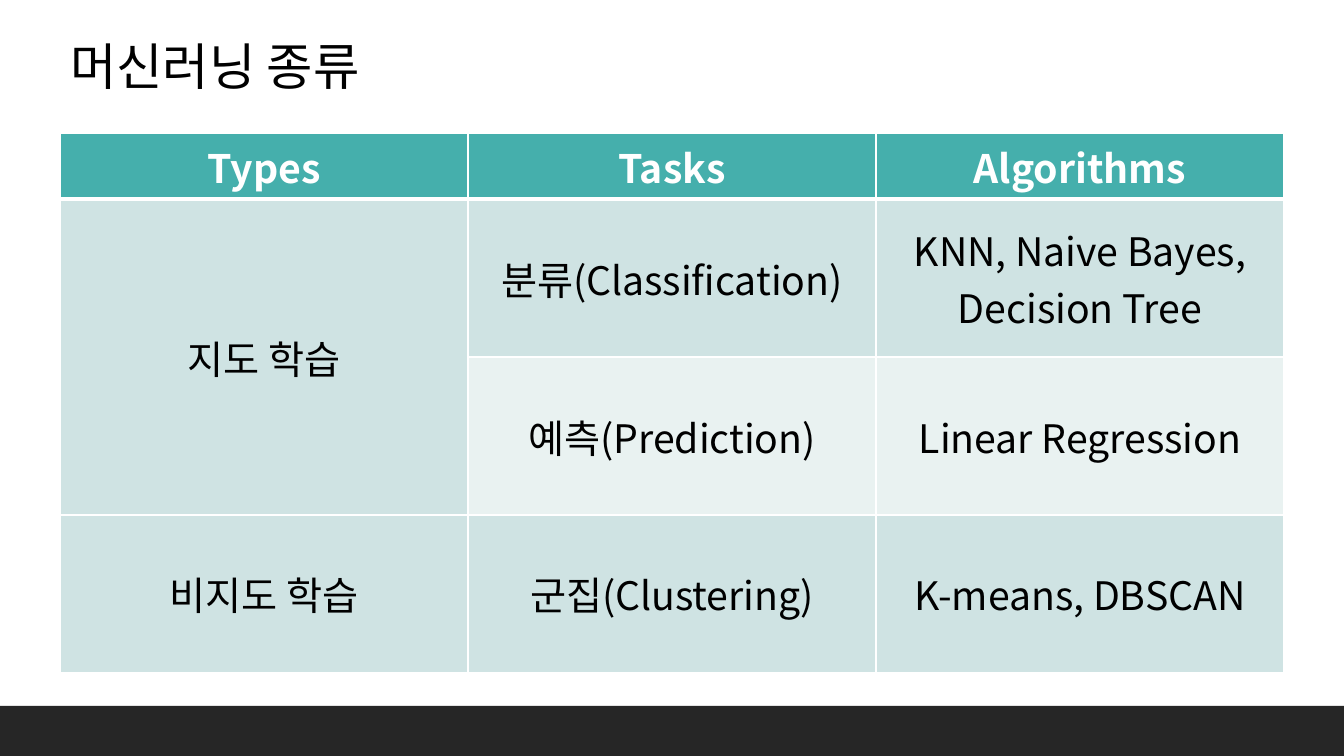
from lxml.etree import SubElement
from pptx import Presentation
from pptx.dml.color import RGBColor
from pptx.enum.shapes import MSO_SHAPE
from pptx.enum.text import MSO_ANCHOR, MSO_AUTO_SIZE, PP_ALIGN
from pptx.oxml.ns import qn
from pptx.util import Pt

SLIDE_WIDTH, SLIDE_HEIGHT = 1344, 756
EMU_PER_PX = 12192000 / SLIDE_WIDTH
FONT = "Noto Sans CJK KR"
COLORS = {
    "footer": "262626",
    "header": "45AFAC",
    "band": "CFE3E3",
    "light_band": "E9F2F1",
    "white": "FFFFFF",
    "black": "000000",
}
HEADER_HEIGHT = 66
ROWS = [
    ["Types", "Tasks", "Algorithms"],
    ["지도 학습", "분류(Classification)", "KNN, Naive Bayes, Decision Tree"],
    ["", "예측(Prediction)", "Linear Regression"],
    ["비지도 학습", "군집(Clustering)", "K-means, DBSCAN"],
]


def px(length):
    return round(length * EMU_PER_PX)


def color(name):
    return RGBColor.from_string(COLORS[name])


def set_attributes(target, values):
    for name, value in values.items():
        setattr(target, name, value)


def fill_solid(target, name):
    target.fill.solid()
    target.fill.fore_color.rgb = color(name)


def write_text(text_frame, text, size, color_name, alignment, bold=False):
    paragraph = text_frame.paragraphs[0]
    paragraph.alignment = alignment
    run = paragraph.add_run()
    run.text = text
    set_attributes(run.font, {"name": FONT, "size": Pt(size), "bold": bold})
    run.font.color.rgb = color(color_name)
    SubElement(run.font._element, qn("a:ea"), typeface=FONT)


def set_borders(cell, widths):
    properties = cell._tc.get_or_add_tcPr()
    for position, (side, width) in enumerate(widths.items()):
        line = properties.makeelement(qn(f"a:ln{side}"), {"w": str(Pt(width))})
        fill = SubElement(line, qn("a:solidFill"))
        SubElement(fill, qn("a:srgbClr"), val=COLORS["white"])
        properties.insert(position, line)


def add_footer(slide, left, top, width, height):
    footer = slide.shapes.add_shape(
        MSO_SHAPE.RECTANGLE, px(left), px(top), px(width), px(height)
    )
    fill_solid(footer, "footer")
    footer.line.fill.background()
    footer.shadow.inherit = False


def add_title(slide, left, top, width, height):
    title = slide.shapes.title
    set_attributes(title, {
        "left": px(left), "top": px(top), "width": px(width), "height": px(height),
    })
    set_attributes(title.text_frame, {
        "word_wrap": True,
        "auto_size": MSO_AUTO_SIZE.SHAPE_TO_FIT_TEXT,
        "vertical_anchor": MSO_ANCHOR.TOP,
    })
    write_text(title.text_frame, "머신러닝 종류", 36, "black", PP_ALIGN.LEFT)


def add_types_table(slide, left, top, width, height):
    table = slide.shapes.add_table(
        len(ROWS), len(ROWS[0]), px(left), px(top), px(width), px(height)
    ).table
    body_height = (height - HEADER_HEIGHT) / (len(ROWS) - 1)
    for column in table.columns:
        column.width = px(width / len(ROWS[0]))
    for row_index, texts in enumerate(ROWS):
        is_header = row_index == 0
        table.rows[row_index].height = px(HEADER_HEIGHT if is_header else body_height)
        band = "header" if is_header else "band" if row_index % 2 else "light_band"
        for column_index, text in enumerate(texts):
            cell = table.cell(row_index, column_index)
            cell.vertical_anchor = MSO_ANCHOR.TOP if is_header else MSO_ANCHOR.MIDDLE
            fill_solid(cell, band)
            set_borders(cell, {
                "L": 1,
                "R": 1,
                "T": 3 if row_index == 1 else 1,
                "B": 3 if is_header else 1,
            })
            if text:
                write_text(
                    cell.text_frame, text, 28, "white" if is_header else "black",
                    PP_ALIGN.CENTER, is_header,
                )
    table.cell(1, 0).merge(table.cell(2, 0))


def main():
    presentation = Presentation()
    set_attributes(presentation, {
        "slide_width": px(SLIDE_WIDTH), "slide_height": px(SLIDE_HEIGHT),
    })
    slide = presentation.slides.add_slide(presentation.slide_layouts[5])
    add_footer(slide, 0, 706, SLIDE_WIDTH, 50)
    add_types_table(slide, 60, 133, 1224, 540)
    add_title(slide, 60, 30, 354, 72)
    presentation.save("out.pptx")


if __name__ == "__main__":
    main()
